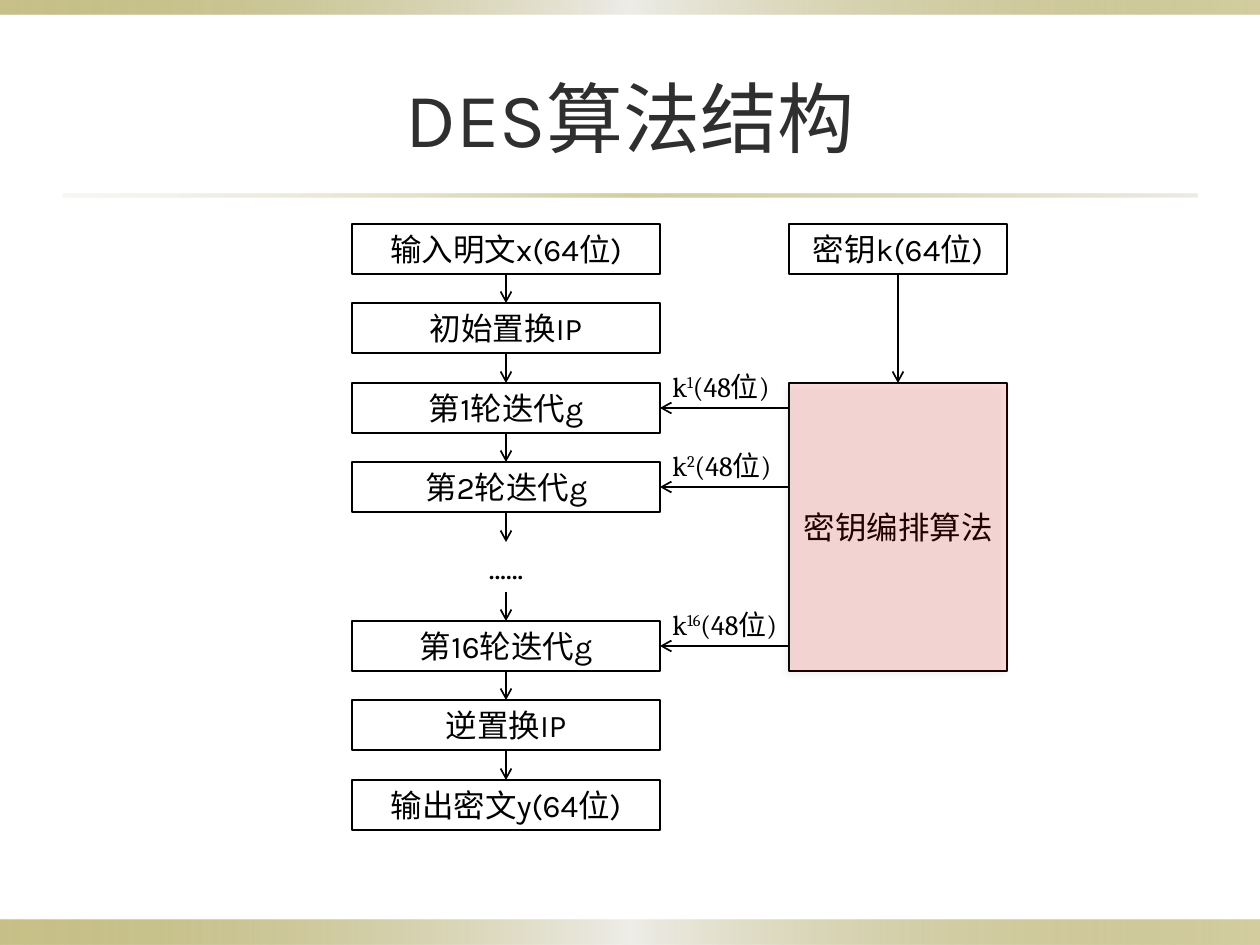
from lxml.etree import SubElement
from pptx import Presentation
from pptx.dml.color import RGBColor
from pptx.enum.shapes import MSO_CONNECTOR, MSO_SHAPE
from pptx.enum.text import MSO_ANCHOR, MSO_AUTO_SIZE, PP_ALIGN
from pptx.oxml import parse_xml
from pptx.oxml.ns import nsdecls, qn
from pptx.util import Emu, Pt

COLOURS = {
    "ink": "000000",
    "title": "2F2F2F",
    "gold": "918415",
    "silver": "EEEDE8",
    "sand": "DCD9CC",
    "highlight": "FF0000",
}
BODY_FONT, KEY_FONT = "Karla", "Cambria"
TOP, BOTTOM, LEFT, RIGHT = 0, 2, 1, 3

ROUND_LEFT, ROUND_WIDTH = 352, 308
KEY_LEFT, KEY_WIDTH = 789, 218
FIRST_ROW, ROW_PITCH, ROW_HEIGHT = 224, 79.4, 50

STEPS = ["输入明文x(64位)", "初始置换IP", "第1轮迭代g", "第2轮迭代g", "……",
         "第16轮迭代g", "逆置换IP", "输出密文y(64位)"]
ROUND_KEYS = {2: "1", 3: "2", 5: "16"}  # step row: round number
BAR_STOPS = [(0, "gold", 50), (50, "silver", 100), (100, "gold", 40)]
RULE_STOPS = [(0, "sand", 20), (50, "gold", 40), (100, "sand", 50)]


def px(length):
    return Emu(round(length * 914400 / 126))


def frame(*lengths):
    return [px(length) for length in lengths]


def row_top(row):
    return round(FIRST_ROW + ROW_PITCH * row)


def rgb(name):
    return RGBColor.from_string(COLOURS[name])


def format_font(font, face, size, colour="ink"):
    font.name, font.size = face, Pt(size)
    font.color.rgb = rgb(colour)


def add_rect(slide, left, top, width, height):
    rect = slide.shapes.add_shape(MSO_SHAPE.RECTANGLE, *frame(left, top, width, height))
    rect.shadow.inherit = False
    rect.line.fill.background()
    return rect


def add_gradient_bar(slide, left, top, width, height, stops):
    """Horizontal gradient; each stop is (position %, colour, opacity %)."""
    bar = add_rect(slide, left, top, width, height)
    bar.fill.background()
    stop_xml = "".join(
        f'<a:gs pos="{pos * 1000}"><a:srgbClr val="{COLOURS[colour]}">'
        f'<a:alpha val="{opacity * 1000}"/></a:srgbClr></a:gs>'
        for pos, colour, opacity in stops)
    gradient = parse_xml(f'<a:gradFill {nsdecls("a")} rotWithShape="1">'
                         f'<a:gsLst>{stop_xml}</a:gsLst><a:lin ang="0" scaled="0"/></a:gradFill>')
    properties = bar._element.spPr
    properties.replace(properties.find(qn("a:noFill")), gradient)


def set_title(slide, wording):
    title = slide.shapes.title
    title.left, title.top, title.width, title.height = frame(63, 38, 1134, 157)
    title.text_frame.text = wording
    title.text_frame.vertical_anchor = MSO_ANCHOR.MIDDLE
    heading = title.text_frame.paragraphs[0]
    heading.alignment = PP_ALIGN.CENTER
    format_font(heading.runs[0].font, BODY_FONT, 44, "title")


def write_centred(shape, wording):
    text_frame = shape.text_frame
    text_frame.text = wording
    text_frame.word_wrap = True
    text_frame.margin_left = text_frame.margin_right = 0
    text_frame.vertical_anchor = MSO_ANCHOR.MIDDLE
    label = text_frame.paragraphs[0]
    label.alignment = PP_ALIGN.CENTER
    format_font(label.runs[0].font, BODY_FONT, 18)


def add_box(slide, wording, left, top, width, height=ROW_HEIGHT):
    box = add_rect(slide, left, top, width, height)
    box.fill.background()
    box.line.color.rgb = rgb("ink")
    box.line.width = Pt(1)
    write_centred(box, wording)
    return box


def add_step(slide, row, wording):
    """Add one step; the ellipsis for skipped rounds has no outline."""
    place = ROUND_LEFT, row_top(row), ROUND_WIDTH
    if wording != "……":
        return add_box(slide, wording, *place)
    gap = slide.shapes.add_textbox(*frame(*place, ROW_HEIGHT))
    write_centred(gap, wording)
    return gap


def add_arrow(slide, start=(0, 0)):
    arrow = slide.shapes.add_connector(MSO_CONNECTOR.STRAIGHT, *frame(*start, *start))
    arrow.line.color.rgb = rgb("ink")
    arrow.line.width = Pt(1)
    SubElement(arrow.line._get_or_add_ln(), qn("a:tailEnd"), type="arrow")
    SubElement(arrow._element.spPr, qn("a:effectLst"))
    return arrow


def add_down_arrow(slide, upper, lower):
    arrow = add_arrow(slide)
    arrow.begin_connect(upper, BOTTOM)
    arrow.end_connect(lower, TOP)


def add_round_key(slide, step, row, number):
    """Arrow from the key schedule into a round, with its key above."""
    middle = row_top(row) + ROW_HEIGHT // 2
    add_arrow(slide, (KEY_LEFT, middle)).end_connect(step, RIGHT)
    text_frame = slide.shapes.add_textbox(*frame(660, middle - 45, 139, 47)).text_frame
    text_frame.word_wrap = True
    text_frame.auto_size = MSO_AUTO_SIZE.SHAPE_TO_FIT_TEXT
    for part in ("k", number, "(48位)"):
        run = text_frame.paragraphs[0].add_run()
        run.text = part
        format_font(run.font, KEY_FONT, 16)
        if part == number:
            run.font._element.set("baseline", "30000")


def add_highlight(slide, left, top, width, height):
    """Translucent red cover with a soft shadow."""
    cover = add_rect(slide, left, top, width, height)
    cover.fill.solid()
    cover.fill.fore_color.rgb = rgb("highlight")
    properties = cover._element.spPr
    SubElement(properties.find(qn("a:solidFill"))[0], qn("a:alpha"), val="13000")
    shadow = SubElement(properties.find(qn("a:effectLst")), qn("a:outerShdw"),
                        blurRad=str(Pt(4)), dist=str(Pt(3)), dir=str(135 * 60000),
                        rotWithShape="0")
    shade = SubElement(shadow, qn("a:srgbClr"), val=COLOURS["ink"])
    SubElement(shade, qn("a:alpha"), val="40000")


def main():
    deck = Presentation()
    deck.slide_width, deck.slide_height = frame(1260, 945)
    slide = deck.slides.add_slide(deck.slide_layouts[5])

    add_gradient_bar(slide, 0, 920, 1260, 25, BAR_STOPS)
    add_gradient_bar(slide, 0, 0, 1260, 15, BAR_STOPS)
    add_gradient_bar(slide, 63, 194, 1134, 3, RULE_STOPS)
    set_title(slide, "DES算法结构")

    steps = [add_step(slide, row, wording) for row, wording in enumerate(STEPS)]
    for upper, lower in zip(steps, steps[1:]):
        add_down_arrow(slide, upper, lower)

    schedule_top = row_top(2)
    schedule_place = (KEY_LEFT, schedule_top, KEY_WIDTH,
                      row_top(5) + ROW_HEIGHT - schedule_top)
    key = add_box(slide, "密钥k(64位)", KEY_LEFT, row_top(0), KEY_WIDTH)
    schedule = add_box(slide, "密钥编排算法", *schedule_place)
    add_down_arrow(slide, key, schedule)

    for row, number in ROUND_KEYS.items():
        add_round_key(slide, steps[row], row, number)
    add_highlight(slide, *schedule_place)

    deck.save("out.pptx")


if __name__ == "__main__":
    main()
